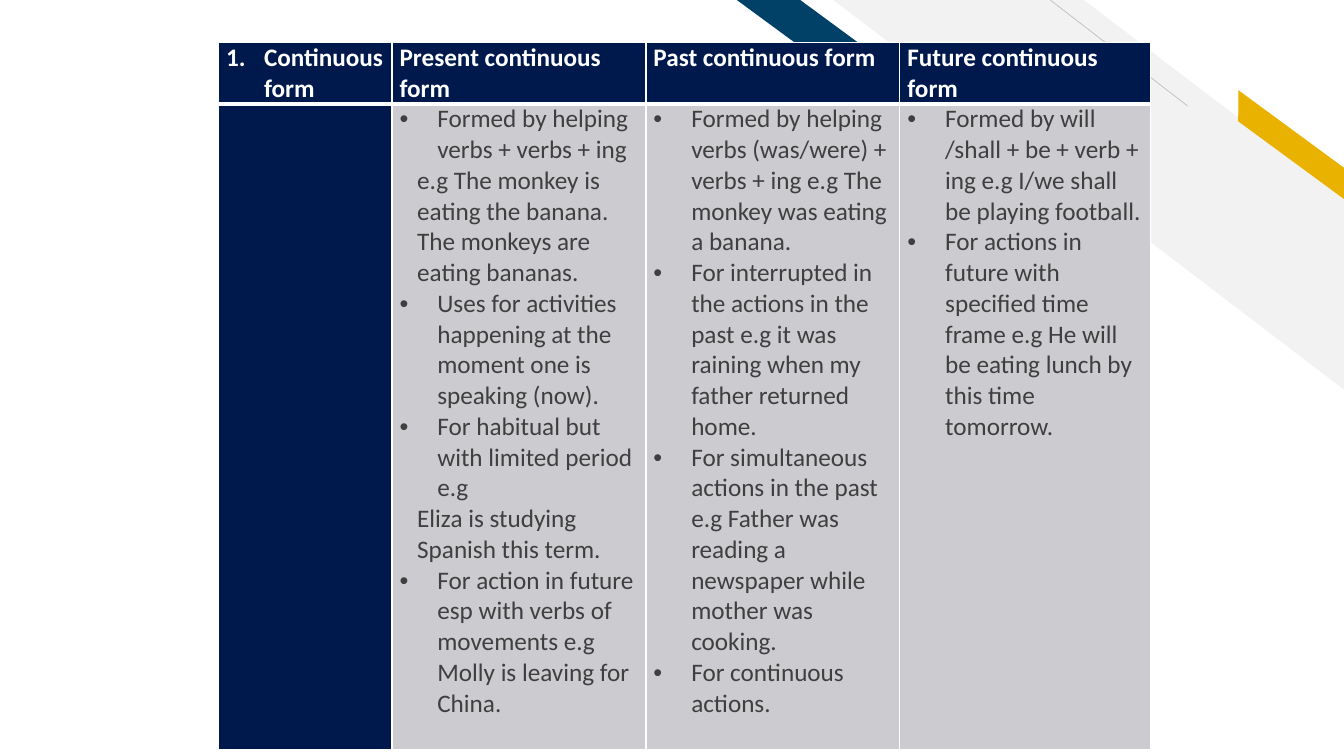
from dataclasses import dataclass
from typing import Optional

import lxml.etree
import pptx
import pptx.dml.color
import pptx.enum.shapes
import pptx.oxml.ns
import pptx.slide
import pptx.table
import pptx.text.text
import pptx.util

Pt = pptx.util.Pt
RGB = pptx.dml.color.RGBColor
qn = pptx.oxml.ns.qn
MSO = pptx.enum.shapes.MSO_SHAPE


@dataclass(frozen=True)
class Theme:
    font: str = "Calibri"
    size: float = 18
    navy: str = "00194C"
    grey: str = "CCCCD0"
    text: str = "3F3F3F"
    white: str = "FFFFFF"
    stripe: str = "F2F2F2"
    hairline: str = "BFBFBF"
    gold: str = "EAB200"
    teal: str = "014067"


@dataclass(frozen=True)
class Band:
    kind: MSO
    left: float
    top: float
    width: float
    height: float
    adj: float
    color: str
    rotation: float = 0


@dataclass(frozen=True)
class Para:
    text: str
    mark: Optional[str] = None  # "bullet" or "number"
    left: float = 0


def item(text: str) -> Para:
    return Para(text, "bullet", 27)


def example(text: str) -> Para:
    return Para(text, left=12.6)


THEME = Theme()
STRIPE = Band(MSO.DIAGONAL_STRIPE, 595.4, 0, 365, 278.6, 0.51, THEME.stripe)
RIBBONS = [
    Band(MSO.PARALLELOGRAM, 869, 94.3, 106.6, 18, 0.72, THEME.gold, 36.3),
    Band(MSO.PARALLELOGRAM, 526.3, 0, 113.8, 50.4, 1.36, THEME.teal),
]
COLUMN_WIDTHS = [123.8, 181.4, 181.4, 179.3]
ROW_HEIGHTS = [44, 461]
HEADER = [
    [Para("Continuous form", "number", 27)],
    [Para("Present continuous form")],
    [Para("Past continuous form")],
    [Para("Future continuous form")],
]
BODY = [
    [],
    [
        item("Formed by helping verbs + verbs + ing"),
        example("e.g The monkey is eating the banana."),
        example("The monkeys are eating bananas."),
        item("Uses for activities happening at the moment one is speaking (now)."),
        item("For habitual but with limited period e.g"),
        example("Eliza is studying Spanish this term."),
        item("For action in future esp with verbs of movements e.g Molly is leaving for China."),
    ],
    [
        item("Formed by helping verbs (was/were) + verbs + ing e.g The monkey was eating a banana."),
        item("For interrupted in the actions in the past e.g it was raining when my father returned home."),
        item("For simultaneous actions in the past e.g Father was reading a newspaper while mother was cooking."),
        item("For continuous actions."),
    ],
    [
        item("Formed by will /shall + be + verb + ing e.g I/we shall be playing football."),
        item("For actions in future with specified time frame e.g He will be eating lunch by this time tomorrow."),
    ],
]


def add_band(s: pptx.slide.Slide, band: Band) -> None:
    sp = s.shapes.add_shape(band.kind, Pt(band.left), Pt(band.top), Pt(band.width), Pt(band.height))
    sp.adjustments[0] = band.adj
    sp.rotation = band.rotation
    sp.shadow.inherit = False
    sp.fill.solid()
    sp.fill.fore_color.rgb = RGB.from_string(band.color)
    sp.line.fill.background()
    sp._element.spPr.find(qn("a:xfrm")).set("flipH", "1")


def add_hairline(s: pptx.slide.Slide) -> None:
    line = s.shapes.add_connector(
        pptx.enum.shapes.MSO_CONNECTOR.STRAIGHT, Pt(848.2), Pt(75.6), Pt(750.2), Pt(0))
    line.line.color.rgb = RGB.from_string(THEME.hairline)
    line.line.width = Pt(0.5)
    lxml.etree.SubElement(line._element.spPr, qn("a:effectLst"))


def set_borders(cell: pptx.table._Cell, top: float, bottom: float) -> None:
    tcPr = cell._tc.get_or_add_tcPr()
    for side, width in (("L", 1), ("R", 1), ("T", top), ("B", bottom)):
        ln = lxml.etree.SubElement(tcPr, qn(f"a:ln{side}"), w=str(Pt(width)))
        fill = lxml.etree.SubElement(ln, qn("a:solidFill"))
        lxml.etree.SubElement(fill, qn("a:srgbClr"), val=THEME.white)


def write_paragraph(p: pptx.text.text._Paragraph, para: Para, color: str, bold: bool) -> None:
    pPr = p._p.get_or_add_pPr()
    pPr.set("marL", str(Pt(para.left)))
    pPr.set("indent", str(Pt(-para.left if para.mark else 0)))
    if para.mark == "bullet":
        lxml.etree.SubElement(pPr, qn("a:buFont"), typeface="Arial")
        lxml.etree.SubElement(pPr, qn("a:buChar"), char="•")
    elif para.mark == "number":
        lxml.etree.SubElement(pPr, qn("a:buAutoNum"), type="arabicPeriod")
    r = p.add_run()
    r.text = para.text
    r.font.name = THEME.font
    r.font.size = Pt(THEME.size)
    r.font.bold = bold
    r.font.color.rgb = RGB.from_string(color)


def fill_cell(cell: pptx.table._Cell, paras: list[Para], header: bool, navy: bool) -> None:
    set_borders(cell, top=1 if header else 3, bottom=3 if header else 1)
    cell.fill.solid()
    cell.fill.fore_color.rgb = RGB.from_string(THEME.navy if navy else THEME.grey)
    cell.margin_left = cell.margin_right = Pt(5.4)
    cell.margin_top = cell.margin_bottom = Pt(0)
    tf = cell.text_frame
    for i, para in enumerate(paras):
        p = tf.add_paragraph() if i else tf.paragraphs[0]
        write_paragraph(p, para, THEME.white if header else THEME.text, header)


def add_tense_table(s: pptx.slide.Slide) -> None:
    table = s.shapes.add_table(
        len(ROW_HEIGHTS), len(COLUMN_WIDTHS), Pt(156.2), Pt(30.2),
        Pt(sum(COLUMN_WIDTHS)), Pt(sum(ROW_HEIGHTS))).table
    table.first_row = table.horz_banding = False
    for column, width in zip(table.columns, COLUMN_WIDTHS):
        column.width = Pt(width)
    for i, (height, row) in enumerate(zip(ROW_HEIGHTS, (HEADER, BODY))):
        table.rows[i].height = Pt(height)
        for j, paras in enumerate(row):
            fill_cell(table.cell(i, j), paras, header=i == 0, navy=i == 0 or j == 0)


def main() -> None:
    prs = pptx.Presentation()
    prs.slide_width, prs.slide_height = Pt(960), Pt(540)
    s = prs.slides.add_slide(prs.slide_layouts[6])

    # Corner decoration
    add_band(s, STRIPE)
    add_hairline(s)
    for band in RIBBONS:
        add_band(s, band)

    # Table of continuous forms
    add_tense_table(s)
    prs.save("out.pptx")


if __name__ == "__main__":
    main()
